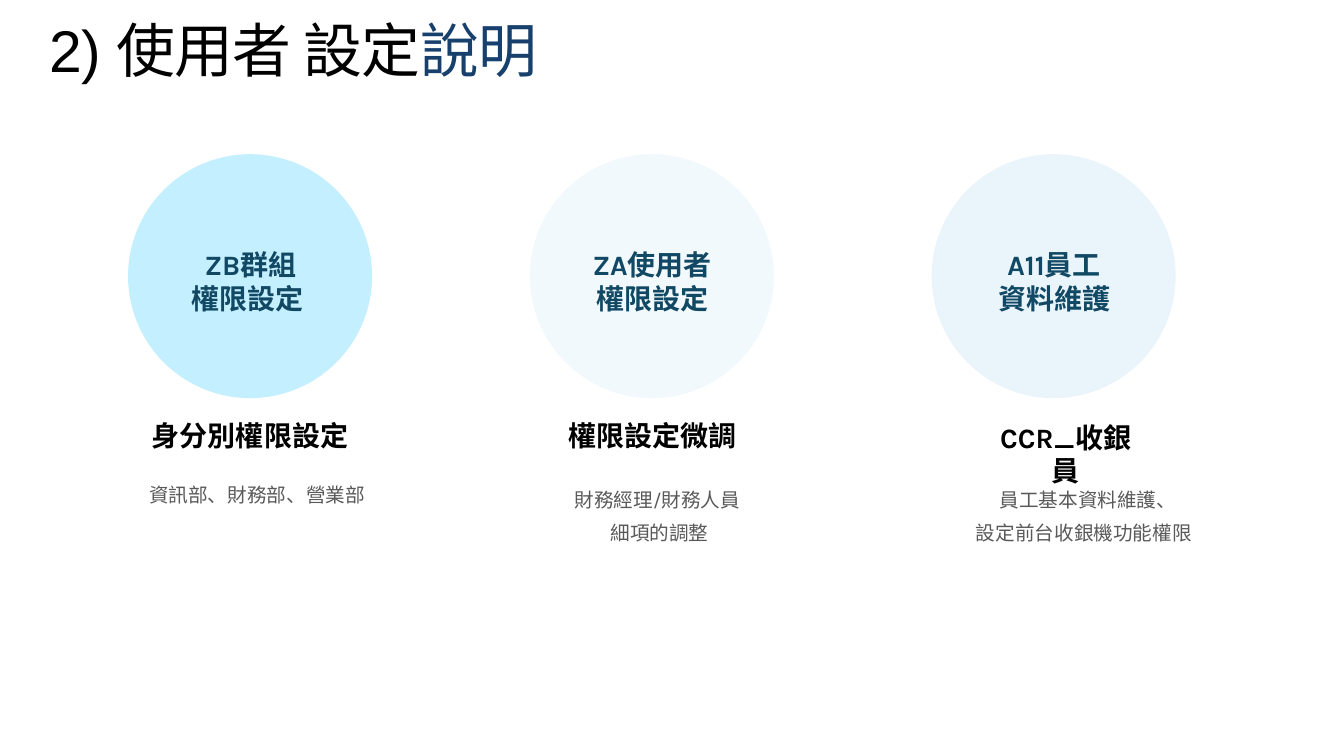
from pptx import Presentation
from pptx.dml.color import RGBColor
from pptx.enum.shapes import MSO_SHAPE
from pptx.enum.text import MSO_ANCHOR, MSO_AUTO_SIZE, PP_ALIGN
from pptx.oxml.ns import qn
from pptx.util import Emu, Pt
from lxml.etree import SubElement

PX = 9144
CJK = "Noto Sans CJK SC"
CENTER, LEFT = PP_ALIGN.CENTER, PP_ALIGN.LEFT
COLUMN_X, COLUMN_STEP, DIAMETER = 127, 398.5, 242

COLUMNS = [
    {"fill": "C4EFFF", "label": ["ZB群組", "權限設定 "],
     "heading": ("身分別權限設定", 137, 410, 222),
     "detail": (["資訊部、財務部、營業部"], 134, 466, 39), "aligns": [CENTER]},
    {"fill": "F1F9FD", "label": ["ZA使用者", "權限設定"],
     "heading": ("權限設定微調", 550, 410, 194),
     "detail": (["財務經理/財務人員", " 細項的調整"], 531, 471, 71),
     "aligns": [CENTER, CENTER]},
    {"fill": "E9F5FB", "label": ["A11員工", "資料維護"],
     "heading": ("CCR_收銀員", 974, 412, 166),
     "detail": (["員工基本資料維護、", "設定前台收銀機功能權限"], 958, 471, 71),
     "aligns": [CENTER, LEFT]},
]


def px(n):
    return Emu(round(n * PX))


def rgb(value):
    return RGBColor.from_string(value)


def add_run(p, text, size, color, font="Karla", bold=False, spacing=None):
    r = p.add_run()
    r.text = text
    r.font.size = Pt(size)
    r.font.name = font
    r.font.bold = bold
    r.font.color.rgb = rgb(color)
    rPr = r.font._element
    SubElement(rPr, qn("a:ea")).set("typeface", CJK)
    if spacing is not None:
        rPr.set("spc", str(round(spacing * 100)))


def add_box(s, x, y, w, h, grow=True):
    tf = s.shapes.add_textbox(px(x), px(y), px(w), px(h)).text_frame
    tf.word_wrap = True
    tf.auto_size = MSO_AUTO_SIZE.SHAPE_TO_FIT_TEXT if grow else MSO_AUTO_SIZE.NONE
    return tf


def add_text(s, lines, x, y, w, h, aligns=(CENTER, CENTER), leading=None, **fmt):
    tf = add_box(s, x, y, w, h)
    for i, (line, align) in enumerate(zip(lines, aligns)):
        p = tf.add_paragraph() if i else tf.paragraphs[0]
        p.alignment = align
        if leading:
            p.line_spacing = Pt(leading)
        add_run(p, line, **fmt)


def add_title(s):
    tf = add_box(s, 39, 19, 1100, 70, grow=False)
    tf.vertical_anchor = MSO_ANCHOR.BOTTOM
    p = tf.paragraphs[0]
    p.line_spacing = 0.85
    add_run(p, "2) 使用者 設定", 42, "000000", font="Arial", spacing=-0.5)
    add_run(p, "說明", 42, "17406D", font=CJK, spacing=-0.5)


def add_circle(s, x, y, fill):
    sp = s.shapes.add_shape(MSO_SHAPE.OVAL, px(x), px(y), px(DIAMETER), px(DIAMETER))
    sp.shadow.inherit = False
    sp.fill.solid()
    sp.fill.fore_color.rgb = rgb(fill)
    sp.line.fill.background()


def add_column(s, x, column):
    add_circle(s, x, 153, column["fill"])
    add_text(s, column["label"], x + 39, 241, 165, 77,
             size=20, color="114864", bold=True)
    heading, hx, hy, hw = column["heading"]
    add_text(s, [heading], hx, hy, hw, 44, size=20, color="000000", bold=True)
    detail, dx, dy, dh = column["detail"]
    add_text(s, detail, dx, dy, DIAMETER, dh, aligns=column["aligns"],
             leading=23, size=14, color="595959")


def main():
    prs = Presentation()
    prs.slide_width, prs.slide_height = px(1333), px(750)
    s = prs.slides.add_slide(prs.slide_layouts[6])
    add_title(s)
    for i, column in enumerate(COLUMNS):
        add_column(s, COLUMN_X + i * COLUMN_STEP, column)
    prs.save("out.pptx")


if __name__ == "__main__":
    main()
